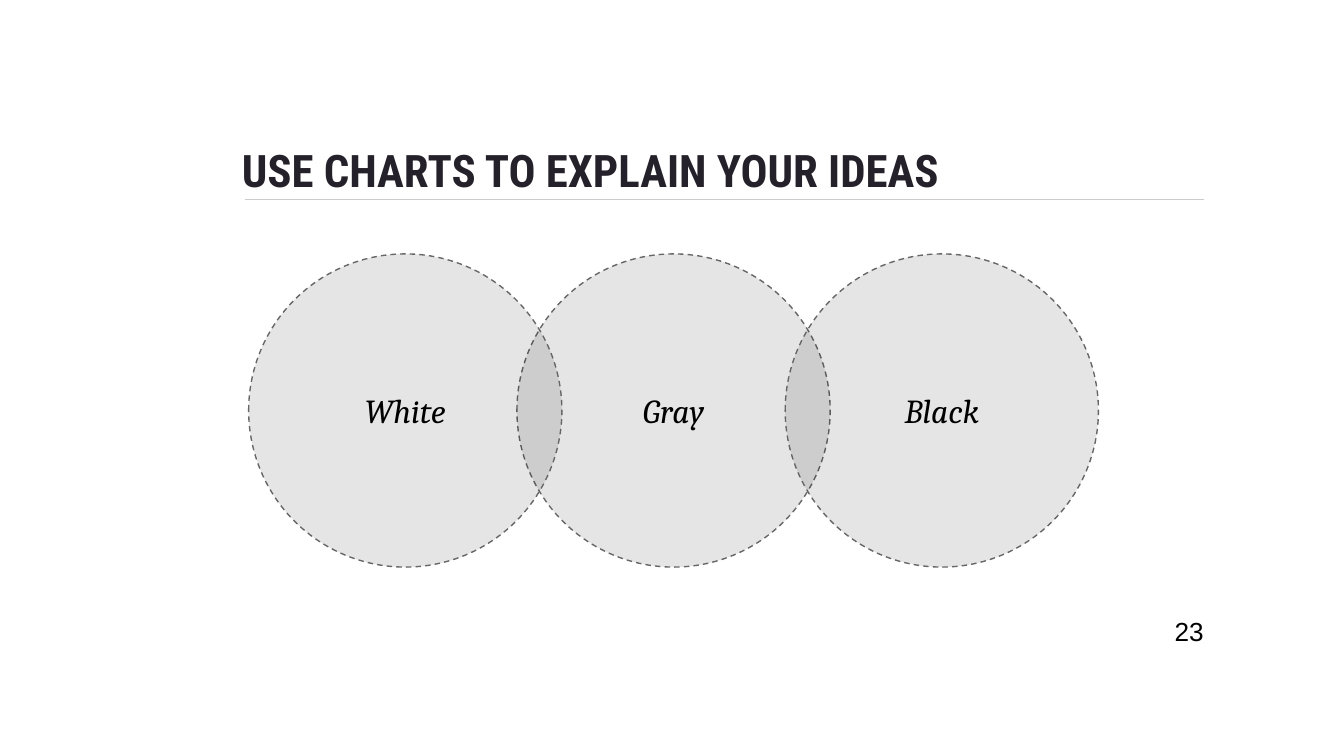
from lxml.etree import SubElement
from pptx import Presentation
from pptx.dml.color import RGBColor
from pptx.enum.dml import MSO_LINE_DASH_STYLE as Dash
from pptx.enum.shapes import MSO_CONNECTOR_TYPE as Connector, MSO_SHAPE as Shape
from pptx.enum.text import MSO_ANCHOR as Anchor, PP_ALIGN as Align
from pptx.oxml.ns import qn
from pptx.util import Cm, Pt


def color(hex_value):
    return RGBColor.from_string(hex_value)


class SlideBuilder:
    INK, TITLE, OUTLINE, RULE = "000000", "25212A", "666666", "CCCCCC"
    LINE_WIDTH = Pt(0.75)
    INSET = Cm(0.25)

    def __init__(self, slide):
        self.slide = slide

    def fill_frame(self, frame, text, font, size, ink, anchor, align=Align.LEFT,
                   bold=False, italic=False):
        frame.word_wrap = True
        frame.vertical_anchor = anchor
        frame.margin_left = frame.margin_right = self.INSET
        frame.margin_top = frame.margin_bottom = self.INSET
        paragraph = frame.paragraphs[0]
        paragraph.text = text
        paragraph.alignment = align
        paragraph.font.name = font
        paragraph.font.size = Pt(size)
        paragraph.font.bold = bold
        paragraph.font.italic = italic
        paragraph.font.color.rgb = color(ink)

    def text(self, left, top, width, height, text, **style):
        box = self.slide.shapes.add_textbox(Cm(left), Cm(top), Cm(width), Cm(height))
        self.fill_frame(box.text_frame, text, **style)

    def rule(self, left, right, y):
        line = self.slide.shapes.add_connector(
            Connector.STRAIGHT, Cm(left), Cm(y), Cm(right), Cm(y))
        line.line.color.rgb = color(self.RULE)
        line.line.width = self.LINE_WIDTH
        SubElement(line.element.spPr, qn("a:effectLst"))

    def circle(self, left, top, diameter, label, opacity):
        shape = self.slide.shapes.add_shape(
            Shape.OVAL, Cm(left), Cm(top), Cm(diameter), Cm(diameter))
        shape.shadow.inherit = False
        shape.fill.solid()
        shape.fill.fore_color.rgb = color(self.INK)
        fill_color = shape.element.spPr.find(f"{qn('a:solidFill')}/{qn('a:srgbClr')}")
        SubElement(fill_color, qn("a:alpha"), val=str(opacity * 1000))
        shape.line.color.rgb = color(self.OUTLINE)
        shape.line.width = self.LINE_WIDTH
        shape.line.dash_style = Dash.DASH
        self.fill_frame(shape.text_frame, label, font="Cambria", size=18, ink=self.INK,
                        anchor=Anchor.MIDDLE, align=Align.CENTER, italic=True)


def main():
    presentation = Presentation()
    presentation.slide_width, presentation.slide_height = Cm(25.4), Cm(14.29)
    slide = presentation.slides.add_slide(presentation.slide_layouts[6])
    builder = SlideBuilder(slide)

    # Title and rule
    builder.rule(4.63, 22.76, 3.77)
    builder.text(4.32, 2.01, 18.39, 1.96, "USE CHARTS TO EXPLAIN YOUR IDEAS",
                 font="Roboto Condensed", size=24, ink=builder.TITLE,
                 anchor=Anchor.BOTTOM, bold=True)

    # Overlapping circles, the middle one at the back
    first_left, step = 4.7, 5.07
    for position, label in ((1, "Gray"), (0, "White"), (2, "Black")):
        builder.circle(first_left + position * step, 4.8, 5.92, label, opacity=10)

    # Page number
    builder.text(21.95, 11.38, 1.52, 1.09, "23", font="Arial", size=14,
                 ink=builder.INK, anchor=Anchor.MIDDLE)

    presentation.save("out.pptx")


if __name__ == "__main__":
    main()
